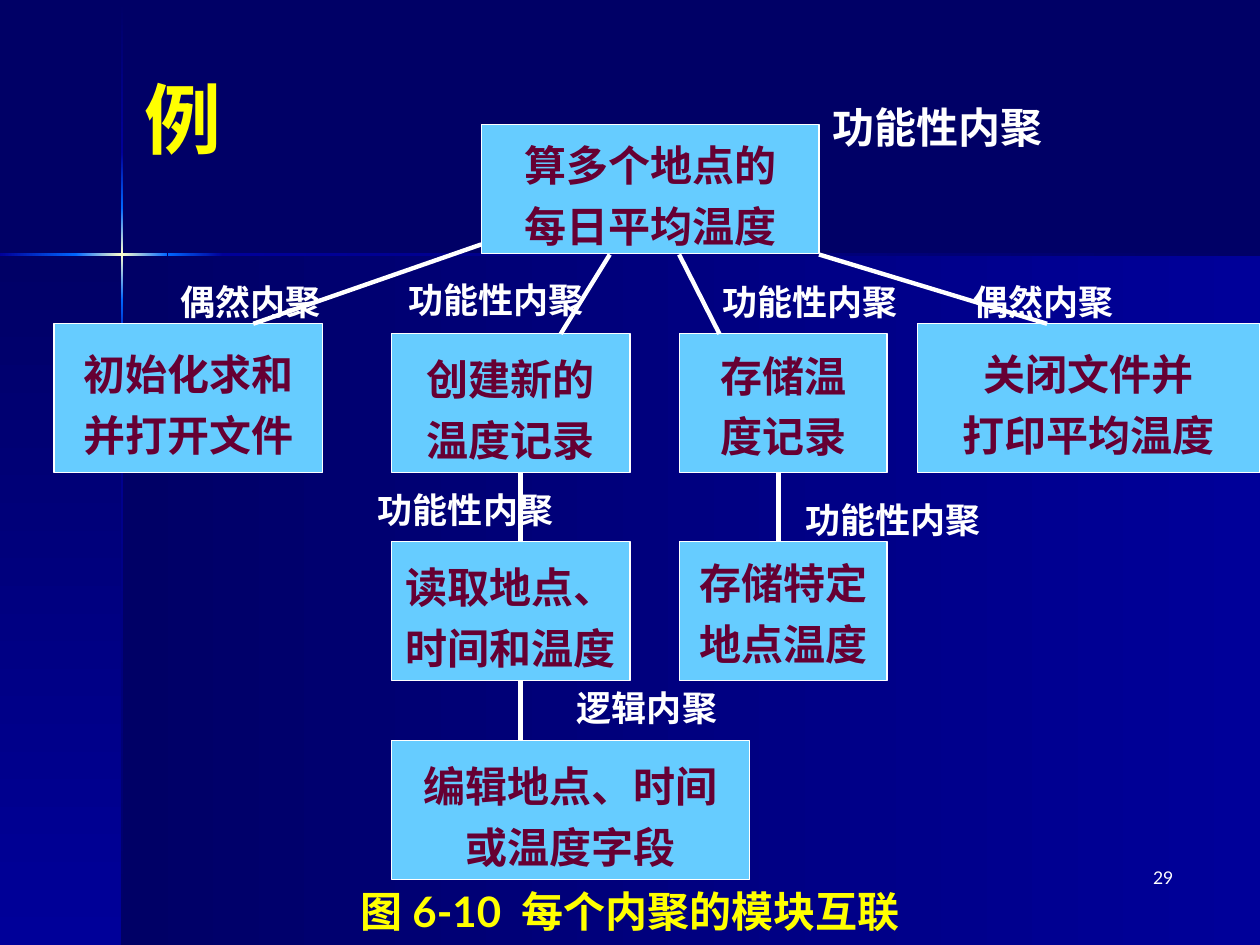
from copy import deepcopy
from dataclasses import dataclass
from typing import NamedTuple

from lxml.etree import SubElement
from pptx import Presentation
from pptx.dml.color import RGBColor as Rgb
from pptx.enum.shapes import MSO_CONNECTOR as Connector, MSO_SHAPE as Preset
from pptx.enum.text import MSO_ANCHOR as Anchor, PP_ALIGN as Align
from pptx.oxml.ns import qn
from pptx.util import Inches, Pt

COLUMNS, ROWS = 100, 75
WIDTH, HEIGHT = Inches(10), Inches(7.5)


@dataclass(frozen=True)
class Theme:
    font: str = "Lato"
    night: str = "000066"
    navy: str = "000099"
    glow: str = "0066FF"
    spark: str = "FFFFCC"
    module: str = "66CCFF"
    module_text: str = "660033"
    white: str = "FFFFFF"
    yellow: str = "FFFF00"
    title: int = 44
    large: int = 24
    label: int = 20
    page: int = 10
    outline: float = 0.75
    link: float = 2.5


THEME = Theme()


class Area(NamedTuple):
    column: float
    row: float
    columns: float
    rows: float


class Band(NamedTuple):
    area: Area
    colours: tuple[str, ...]
    angle: int


class Module(NamedTuple):
    area: Area
    lines: str
    drop: float = 0.05


class Caption(NamedTuple):
    area: Area
    words: str
    size: int = THEME.label
    colour: str = THEME.white
    bold: bool = True
    align: Align = Align.CENTER


class Link(NamedTuple):
    column: float
    row: float
    end_column: float
    end_row: float


FADE = (THEME.night, THEME.navy)
SHINE = (THEME.navy, THEME.glow)
FLARE = (THEME.glow, THEME.spark, THEME.glow)
DOWN, LEFT = 270, 180

BANDS = [
    Band(Area(9.7, 20.2, 90.3, 54.8), FADE[::-1], LEFT),
    Band(Area(0, 20.2, 9.7, 54.8), FADE, DOWN),
    Band(Area(9.6, 0.1, 0.2, 12), FADE, DOWN),
    Band(Area(9.6, 28.2, 0.2, 46.8), FADE[::-1], DOWN),
    Band(Area(17.7, 20.1, 82.3, 0.2), FADE, LEFT),
    Band(Area(9.6, 23.8, 0.2, 4.4), SHINE[::-1], DOWN),
    Band(Area(9.6, 12.1, 0.2, 4.4), SHINE, DOWN),
    Band(Area(9.6, 16.5, 0.2, 7.3), FLARE, DOWN),
    Band(Area(0, 20.1, 6.1, 0.2), SHINE[::-1], LEFT),
    Band(Area(13.3, 20.1, 4.4, 0.2), SHINE, LEFT),
    Band(Area(6, 20.1, 7.3, 0.2), FLARE, LEFT),
]

MODULES = [
    Module(Area(38.2, 9.9, 26.8, 10.25), "算多个地点的\n每日平均温度"),
    Module(Area(4.3, 25.7, 21.3, 11.8), "初始化求和\n并打开文件"),
    Module(Area(31.1, 26.5, 18.9, 11), "创建新的\n温度记录"),
    Module(Area(53.9, 26.5, 16.5, 11), "存储温\n度记录", 0.02),
    Module(Area(72.8, 25.7, 27.2, 11.8), "关闭文件并\n打印平均温度"),
    Module(Area(31.1, 43, 18.9, 11), "读取地点、\n时间和温度"),
    Module(Area(53.9, 43, 16.5, 11), "存储特定\n地点温度", 0.02),
    Module(Area(31.1, 58.8, 28.4, 11), "编辑地点、时间\n或温度字段"),
]

CAPTIONS = [
    Caption(Area(6.7, 5.2, 15.7, 8.4), "例", THEME.title, THEME.yellow),
    Caption(Area(62.6, 7.6, 23.6, 5), "功能性内聚", THEME.large),
    Caption(Area(11.9, 21.8, 16, 4.4), "偶然内聚"),
    Caption(Area(28, 21.6, 22.8, 4.4), "功能性内聚"),
    Caption(Area(52.6, 21.8, 23.4, 4.4), "功能性内聚"),
    Caption(Area(74.8, 21.8, 16, 4.4), "偶然内聚"),
    Caption(Area(23.2, 38.3, 27.5, 4.4), "功能性内聚"),
    Caption(Area(62.6, 39.1, 16.5, 4.4), "功能性内聚"),
    Caption(Area(42.1, 54, 18.5, 4.4), "逻辑内聚"),
    Caption(Area(0, 69.8, 100, 5), "图 6-10  每个内聚的模块互联", THEME.large, THEME.yellow),
    Caption(Area(73.3, 68.3, 20.8, 5), "29", THEME.page, bold=False, align=Align.RIGHT),
]

LINKS = [
    Link(38.2, 19.4, 20.1, 25.7),
    Link(48.4, 20.2, 44.5, 26.5),
    Link(53.9, 20.2, 57.1, 26.5),
    Link(65, 20.2, 83.1, 25.7),
    Link(41.3, 37.5, 41.3, 43),
    Link(61.8, 37.5, 61.8, 43),
    Link(41.3, 54, 41.3, 58.8),
]


def across(columns: float) -> int:
    return round(WIDTH * columns / COLUMNS)


def down(rows: float) -> int:
    return round(HEIGHT * rows / ROWS)


def place(area: Area) -> tuple[int, int, int, int]:
    return across(area.column), down(area.row), across(area.columns), down(area.rows)


def write(frame, words: str, size: int, colour: str, bold: bool, align: Align) -> None:
    frame.text = words
    for index, paragraph in enumerate(frame.paragraphs):
        paragraph.alignment = align
        if index:
            paragraph.space_before = Pt(size / 4)
        for run in paragraph.runs:
            run.font.size, run.font.bold, run.font.name = Pt(size), bold, THEME.font
            run.font.color.rgb = Rgb.from_string(colour)
            SubElement(run.font._element, qn("a:ea")).set("typeface", THEME.font)


def draw_band(slide, band: Band) -> None:
    strip = slide.shapes.add_shape(Preset.RECTANGLE, *place(band.area))
    strip.shadow.inherit = False
    strip.line.fill.background()
    strip.fill.gradient()
    strip.fill.gradient_angle = band.angle
    stops = strip._element.spPr.find(".//" + qn("a:gsLst"))
    for _ in band.colours[2:]:
        stops.append(deepcopy(stops[0]))
    for index, (stop, colour) in enumerate(zip(strip.fill.gradient_stops, band.colours)):
        stop.position = index / (len(band.colours) - 1)
        stop.color.rgb = Rgb.from_string(colour)


def draw_module(slide, module: Module) -> None:
    box = slide.shapes.add_shape(Preset.RECTANGLE, *place(module.area))
    box.shadow.inherit = False
    box.fill.solid()
    box.fill.fore_color.rgb = Rgb.from_string(THEME.module)
    box.line.color.rgb = Rgb.from_string(THEME.white)
    box.line.width = Pt(THEME.outline)
    frame = box.text_frame
    frame.word_wrap, frame.vertical_anchor = False, Anchor.MIDDLE
    frame.margin_top, frame.margin_bottom = Inches(2 * module.drop), 0
    write(frame, module.lines, THEME.large, THEME.module_text, True, Align.CENTER)


def draw_caption(slide, caption: Caption) -> None:
    frame = slide.shapes.add_textbox(*place(caption.area)).text_frame
    frame.word_wrap = True
    write(frame, *caption[1:])


def draw_link(slide, link: Link) -> None:
    ends = across(link.column), down(link.row), across(link.end_column), down(link.end_row)
    line = slide.shapes.add_connector(Connector.STRAIGHT, *ends)
    line.line.color.rgb = Rgb.from_string(THEME.white)
    line.line.width = Pt(THEME.link)
    SubElement(line._element.spPr, qn("a:effectLst"))


def main() -> None:
    """Build the module cohesion diagram and save it."""
    deck = Presentation()
    deck.slide_width, deck.slide_height = WIDTH, HEIGHT
    slide = deck.slides.add_slide(deck.slide_layouts[6])
    slide.background.fill.solid()
    slide.background.fill.fore_color.rgb = Rgb.from_string(THEME.night)
    for draw, parts in (
        (draw_band, BANDS),
        (draw_module, MODULES),
        (draw_caption, CAPTIONS),
        (draw_link, LINKS),
    ):
        for part in parts:
            draw(slide, part)
    deck.save("out.pptx")


if __name__ == "__main__":
    main()
